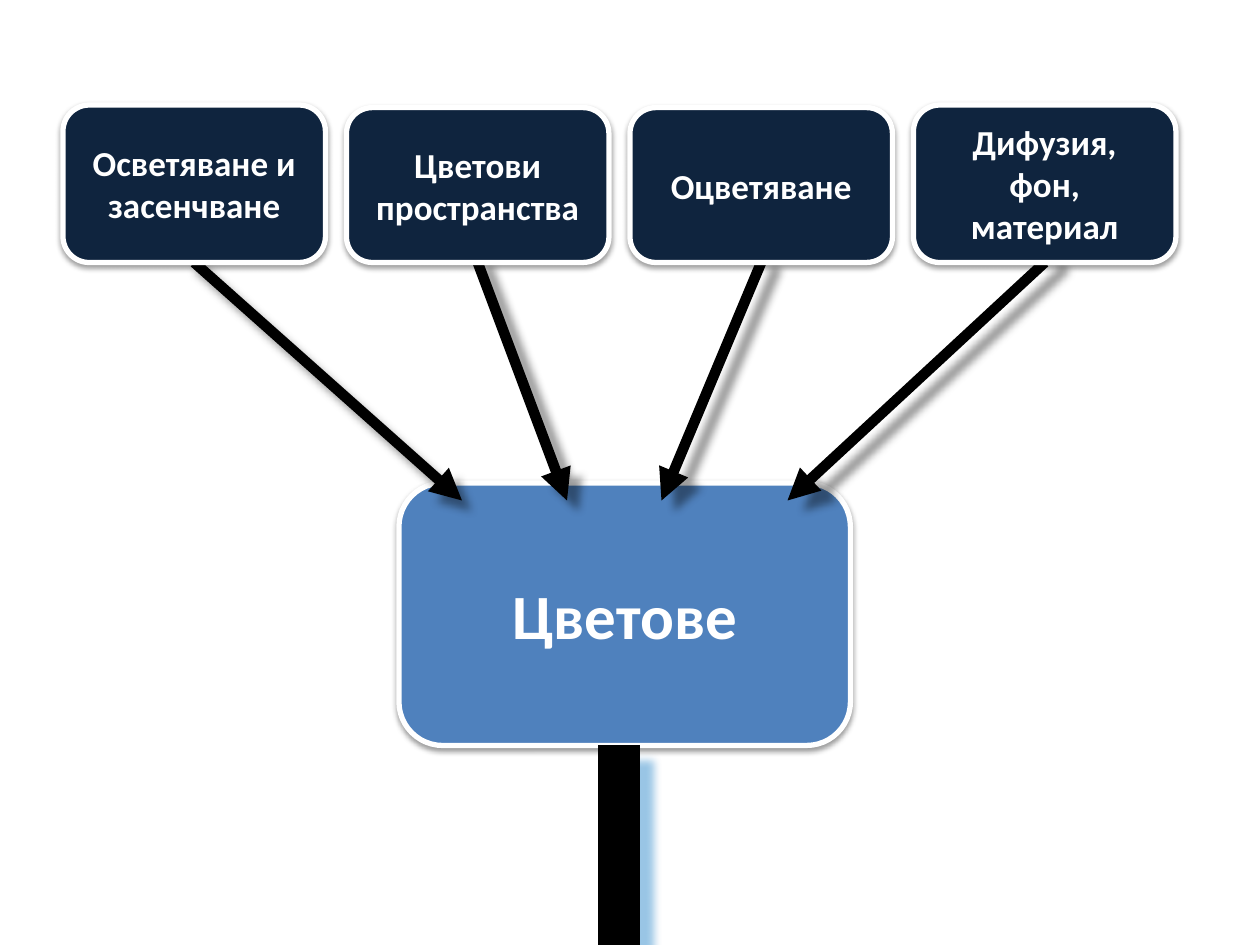
from lxml import etree
from pptx import Presentation
from pptx.dml.color import RGBColor
from pptx.enum.shapes import MSO_CONNECTOR, MSO_SHAPE
from pptx.enum.text import MSO_ANCHOR, PP_ALIGN
from pptx.oxml import parse_xml
from pptx.oxml.ns import nsdecls, qn
from pptx.util import Pt

ROUNDED = MSO_SHAPE.ROUNDED_RECTANGLE
STRAIGHT = MSO_CONNECTOR.STRAIGHT
MIDDLE = MSO_ANCHOR.MIDDLE
CENTER = PP_ALIGN.CENTER
BOTTOM_SITE = 2

# Content: topic, top of its box, x of its arrow tip
TOPICS = [
    ("Осветяване и засенчване", 60, 264),
    ("Цветови пространства", 61.5, 324),
    ("Оцветяване", 61.5, 378),
    ("Дифузия, фон, материал", 60, 450),
]
RESULT = "Цветове"

THEME = {
    "font": "Calibri",
    "text": "FFFFFF",
    "border": "FFFFFF",
    "topic": "0F243E",
    "result": "4F81BD",
    "line": "000000",
    "stem_shadow": "0070C0",
    "topic_size": 20,
    "result_size": 36,
}

# Layout in points
SLIDE_W, SLIDE_H = 720, 540
TOPIC_LEFT, TOPIC_W, TOPIC_PITCH, TOPIC_BOTTOM = 36, 150, 162, 150
RESULT_BOX = (228, 276, 258, 150)
TIP_Y = 286
STEM_X, STEM_TOP = 354, 426

# Outer shadow attributes, in EMU, 1/60000 degree and 1/1000 percent
BOX_SHADOW = 'blurRad="40000" dist="20000" dir="5400000" rotWithShape="0"'
LINE_SHADOW = 'blurRad="63500" sx="102000" sy="102000" algn="ctr" rotWithShape="0"'


def add_shadow(part, geometry, color, percent):
    properties = part._element.spPr
    for effects in properties.findall(qn("a:effectLst")):
        properties.remove(effects)
    properties.append(parse_xml(
        f'<a:effectLst {nsdecls("a")}><a:outerShdw {geometry}><a:srgbClr val="{color}">'
        f'<a:alpha val="{percent * 1000}"/></a:srgbClr></a:outerShdw></a:effectLst>'))


def add_box(shapes, bounds, text, fill, size):
    box = shapes.add_shape(ROUNDED, *map(Pt, bounds))
    box.fill.solid()
    box.fill.fore_color.rgb = RGBColor.from_string(fill)
    box.line.color.rgb = RGBColor.from_string(THEME["border"])
    box.line.width = Pt(3)
    add_shadow(box, BOX_SHADOW, "000000", 38)
    frame = box.text_frame
    frame.word_wrap = True
    frame.vertical_anchor = MIDDLE
    paragraph = frame.paragraphs[0]
    paragraph.alignment = CENTER
    run = paragraph.add_run()
    run.text = text
    run.font.name = THEME["font"]
    run.font.size = Pt(size)
    run.font.bold = True
    run.font.color.rgb = RGBColor.from_string(THEME["text"])
    return box


def add_line(shapes, start, end, width, shadow_color, arrow=False):
    line = shapes.add_connector(STRAIGHT, *map(Pt, start + end))
    line.line.color.rgb = RGBColor.from_string(THEME["line"])
    line.line.width = Pt(width)
    if arrow:
        etree.SubElement(line.line._get_or_add_ln(), qn("a:tailEnd"), type="triangle")
    add_shadow(line, LINE_SHADOW, shadow_color, 40)
    return line


def main():
    prs = Presentation()
    prs.slide_width, prs.slide_height = Pt(SLIDE_W), Pt(SLIDE_H)
    shapes = prs.slides.add_slide(prs.slide_layouts[6]).shapes

    # Result box and the stem below it
    add_box(shapes, RESULT_BOX, RESULT, THEME["result"], THEME["result_size"])
    add_line(shapes, (STEM_X, STEM_TOP), (STEM_X, SLIDE_H), 24, THEME["stem_shadow"])

    # Topic boxes, each covering the start of its arrow
    for column, (topic, top, tip_x) in enumerate(TOPICS):
        left = TOPIC_LEFT + column * TOPIC_PITCH
        arrow = add_line(shapes, (left + TOPIC_W / 2, TOPIC_BOTTOM), (tip_x, TIP_Y),
                         6, THEME["line"], arrow=True)
        box = add_box(shapes, (left, top, TOPIC_W, TOPIC_BOTTOM - top), topic,
                      THEME["topic"], THEME["topic_size"])
        arrow.begin_connect(box, BOTTOM_SITE)

    prs.save("out.pptx")


if __name__ == "__main__":
    main()
